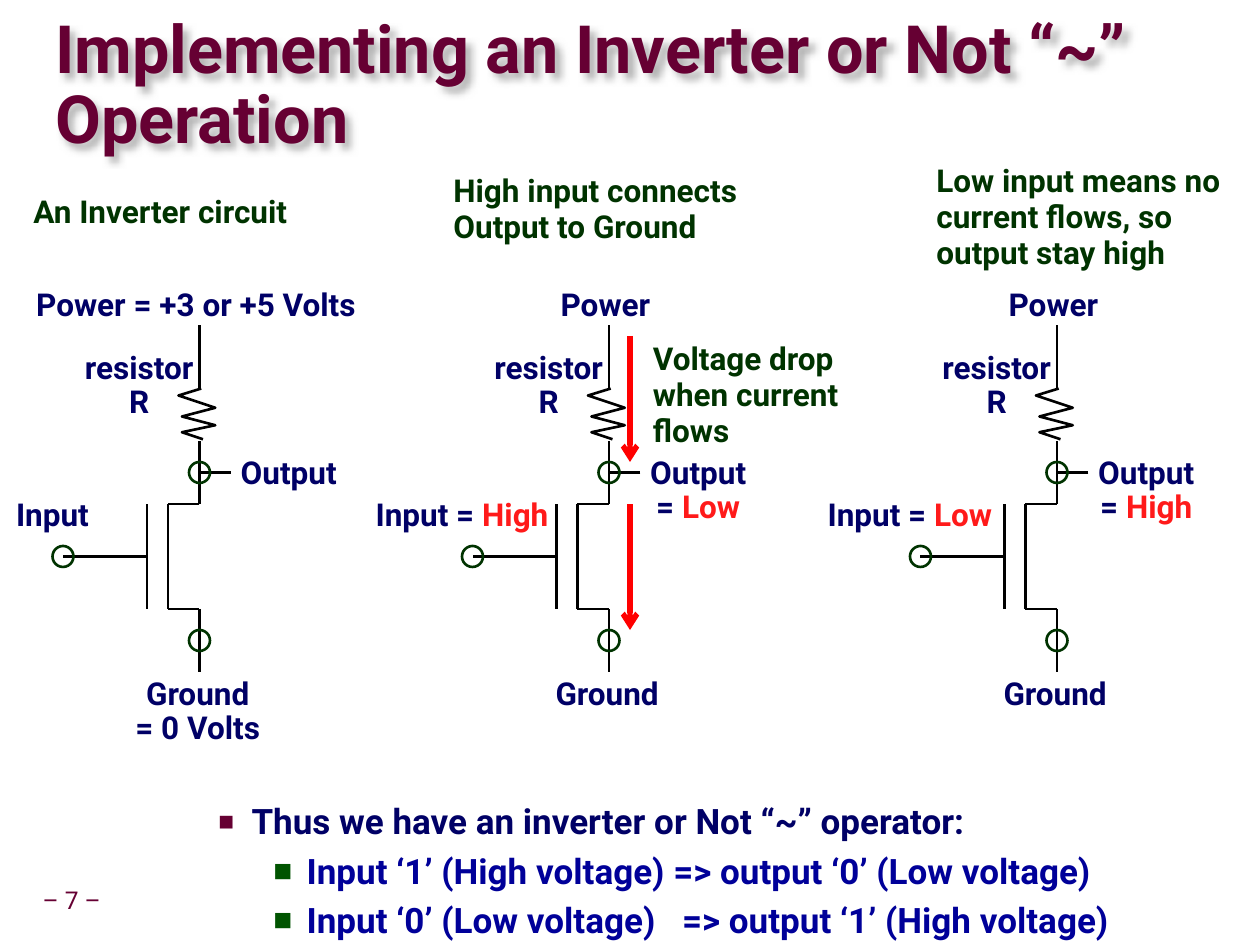
from lxml import etree
from pptx import Presentation
from pptx.dml.color import RGBColor
from pptx.enum.shapes import MSO_CONNECTOR, MSO_SHAPE
from pptx.enum.text import MSO_ANCHOR, MSO_AUTO_SIZE, PP_ALIGN
from pptx.oxml.ns import qn
from pptx.util import Pt

STRAIGHT = MSO_CONNECTOR.STRAIGHT
OVAL = MSO_SHAPE.OVAL
LEFT, CENTER = PP_ALIGN.LEFT, PP_ALIGN.CENTER

FONT = "Roboto"
COLORS = {
    "title": "660033", "label": "000066", "level": "FF1A1A",
    "caption": "003300", "wire": "000000", "current": "FF0000",
    "point": "000099", "bullet": "005400", "paper": "FFFFFF",
    "shadow": "808080",
}

# Offsets from the vertical power-to-ground wire, with absolute heights
WIRES = [
    ((0, 186), (0, 222)), ((0, 252), (0, 270)), ((0, 270), (0, 288)),
    ((18, 270), (0, 270)), ((0, 288), (-18, 288)), ((-18, 288), (-18, 348)),
    ((0, 348), (-18, 348)), ((0, 348), (0, 366)), ((0, 366), (0, 384)),
    ((-30, 288), (-30, 348)), ((-30, 318), (-78, 318)),
]
TERMINALS = [(-78, 318), (0, 366), (0, 270)]
RESISTOR = [(2, 251), (-10, 247), (9, 243), (-10, 238), (9, 233), (-12, 226), (1, 222)]
RADIUS = 6


def rgb(name):
    return RGBColor.from_string(COLORS[name])


def add_element(parent, tag, **attributes):
    return etree.SubElement(parent, qn(tag), attributes)


def format_span(span, size, color, bold=True):
    span.font.name = FONT
    span.font.size = Pt(size)
    span.font.bold = bold
    span.font.color.rgb = rgb(color)


def format_para(para, size, color, align=LEFT, spacing=0.9, bold=True):
    para.alignment = align
    para.line_spacing = spacing
    para.space_before = Pt(0)
    for span in para.runs:
        format_span(span, size, color, bold)


def place(shape, left, top, width, height):
    shape.left, shape.top = Pt(left), Pt(top)
    shape.width, shape.height = Pt(width), Pt(height)


def add_title(page, text):
    title = page.shapes.title
    place(title, 31.5, 19.5, 686, 61)
    frame = title.text_frame
    frame.text = text
    frame.auto_size = MSO_AUTO_SIZE.NONE
    frame.vertical_anchor = MSO_ANCHOR.MIDDLE
    frame.margin_left = frame.margin_right = 0
    frame.margin_top = frame.margin_bottom = 0
    format_para(frame.paragraphs[0], 38, "title", spacing=0.87)
    effects = add_element(title._element.spPr, "a:effectLst")
    shadow = add_element(effects, "a:outerShdw", blurRad=str(Pt(4)), dist=str(Pt(4)),
                         dir="2700000", algn="tl", rotWithShape="0")
    color = add_element(shadow, "a:srgbClr", val=COLORS["shadow"])
    add_element(color, "a:alpha", val="60000")


def add_bullet(para, color, size):
    properties = para._p.get_or_add_pPr()
    bullet_color = add_element(properties, "a:buClr")
    add_element(bullet_color, "a:srgbClr", val=COLORS[color])
    add_element(properties, "a:buSzPct", val=str(size * 1000))
    add_element(properties, "a:buChar", char="■")


def add_conclusion(page):
    body = page.placeholders[1]
    place(body, 78, 456, 630, 84)
    frame = body.text_frame
    frame.auto_size = MSO_AUTO_SIZE.NONE
    frame.text = "Thus we have an inverter or Not “~” operator:"
    points = [
        ("Input ‘1’ (High voltage)", "=> output ‘0’ (Low voltage)", 0),
        ("Input ‘0’ (Low voltage)", "=> output ‘1’ (High voltage)", 10),
    ]
    for given, result, widening in points:
        para = frame.add_paragraph()
        for text in (given, " ", result):
            para.add_run().text = text
        if widening:
            para.runs[1]._r.get_or_add_rPr().set("spc", str(widening * 100))
    for index, para in enumerate(frame.paragraphs):
        is_point = index > 0
        para.level = 2 if is_point else 1
        format_para(para, 20, "point" if is_point else "label",
                    spacing=1.07 if is_point else 0.9)
        if is_point:
            para.space_before = Pt(2.4)
        properties = para._p.get_or_add_pPr()
        properties.set("marL", str(Pt(90 if is_point else 58.5)))
        properties.set("indent", str(Pt(-19)))
        if is_point:
            add_bullet(para, "bullet", 90)
        else:
            add_bullet(para, "title", 75)


def add_caption(shapes, text, left, top, width, height):
    box = shapes.add_textbox(Pt(left), Pt(top), Pt(width), Pt(height))
    box.text_frame.word_wrap = True
    box.text_frame.text = text
    format_para(box.text_frame.paragraphs[0], 18, "caption", spacing=0.95)


def add_label(shapes, lines, center, top, width, level=""):
    """Add centred lines, the last one followed by a red logic level."""
    height = 27 if len(lines) == 1 else 46.5
    box = shapes.add_textbox(Pt(center - width / 2), Pt(top), Pt(width), Pt(height))
    frame = box.text_frame
    frame.word_wrap = False
    frame.text = "\n".join(lines)
    for para in frame.paragraphs:
        format_para(para, 18, "label", CENTER)
    if level:
        span = frame.paragraphs[-1].add_run()
        span.text = level
        format_span(span, 18, "level")
    return box


def add_line(shapes, start, end, color="wire", weight=1.5):
    line = shapes.add_connector(STRAIGHT, *(Pt(value) for value in (*start, *end)))
    line.line.color.rgb = rgb(color)
    line.line.width = Pt(weight)
    add_element(line._element.spPr, "a:effectLst")
    return line


def add_current_arrow(shapes, x, top, bottom):
    arrow = add_line(shapes, (x, top), (x, bottom), "current", 3)
    add_element(arrow.line._get_or_add_ln(), "a:tailEnd", type="arrow")


def style_outline(shape, color):
    shape.shadow.inherit = False
    shape.fill.background()
    shape.line.color.rgb = rgb(color)
    shape.line.width = Pt(1.5)


def add_circuit(page, x, power, ground, given, output, widths):
    """Draw one inverter; given and output are pairs of lines and logic level."""
    shapes = page.shapes.add_group_shape().shapes
    power_width, ground_width, input_width = widths
    add_label(shapes, given[0], x - 84, 282, input_width, given[1])
    box = add_label(shapes, output[0], x + 51, 258, 78, output[1])
    box.fill.solid()
    box.fill.fore_color.rgb = rgb("paper")
    for start, end in WIRES:
        add_line(shapes, (x + start[0], start[1]), (x + end[0], end[1]))
    for offset, y in TERMINALS:
        circle = shapes.add_shape(OVAL, Pt(x + offset - RADIUS), Pt(y - RADIUS),
                                  Pt(2 * RADIUS), Pt(2 * RADIUS))
        style_outline(circle, "caption")
    corners = [(Pt(x + offset), Pt(y)) for offset, y in RESISTOR]
    builder = shapes.build_freeform(*corners[0])
    builder.add_line_segments(corners[1:], close=False)
    style_outline(builder.convert_to_shape(), "wire")
    add_label(shapes, [power], x - 2, 162, power_width)
    add_label(shapes, ground, x - 1, 384, ground_width)
    add_label(shapes, ["resistor", "R"], x - 34.5, 198, 81)


def add_page_number(page):
    box = page.shapes.add_textbox(Pt(17), Pt(504), Pt(48), Pt(22))
    frame = box.text_frame
    frame.word_wrap = False
    frame.vertical_anchor = MSO_ANCHOR.MIDDLE
    frame.text = "– 7 –"
    format_para(frame.paragraphs[0], 14, "title", CENTER, bold=False)


def main():
    deck = Presentation()
    deck.slide_width, deck.slide_height = Pt(720), Pt(540)
    page = deck.slides.add_slide(deck.slide_layouts[1])
    add_page_number(page)
    add_title(page, "Implementing an Inverter or Not “~” Operation")
    add_conclusion(page)
    add_circuit(page, 348, "Power", ["Ground"], (["Input = "], "High"),
                (["Output", "= "], "Low"), (69, 80, 120))
    add_circuit(page, 604, "Power", ["Ground"], (["Input = "], "Low"),
                (["Output", "= "], "High"), (69, 80, 116))
    add_circuit(page, 114, "Power = +3 or +5 Volts", ["Ground", "= 0 Volts"],
                (["Input"], ""), (["Output"], ""), (207, 89, 60))
    captions = [
        ("An Inverter circuit", 12, 108, 186, 30),
        ("High input connects Output to Ground", 252, 96, 192, 66),
        ("Low input means no current flows, so output stay high", 528, 90, 180, 66),
        ("Voltage drop when current flows", 366, 192, 156, 66),
    ]
    for caption in captions:
        add_caption(page.shapes, *caption)
    for top in (192, 288):
        add_current_arrow(page.shapes, 360, top, top + 72)
    deck.save("out.pptx")


if __name__ == "__main__":
    main()
